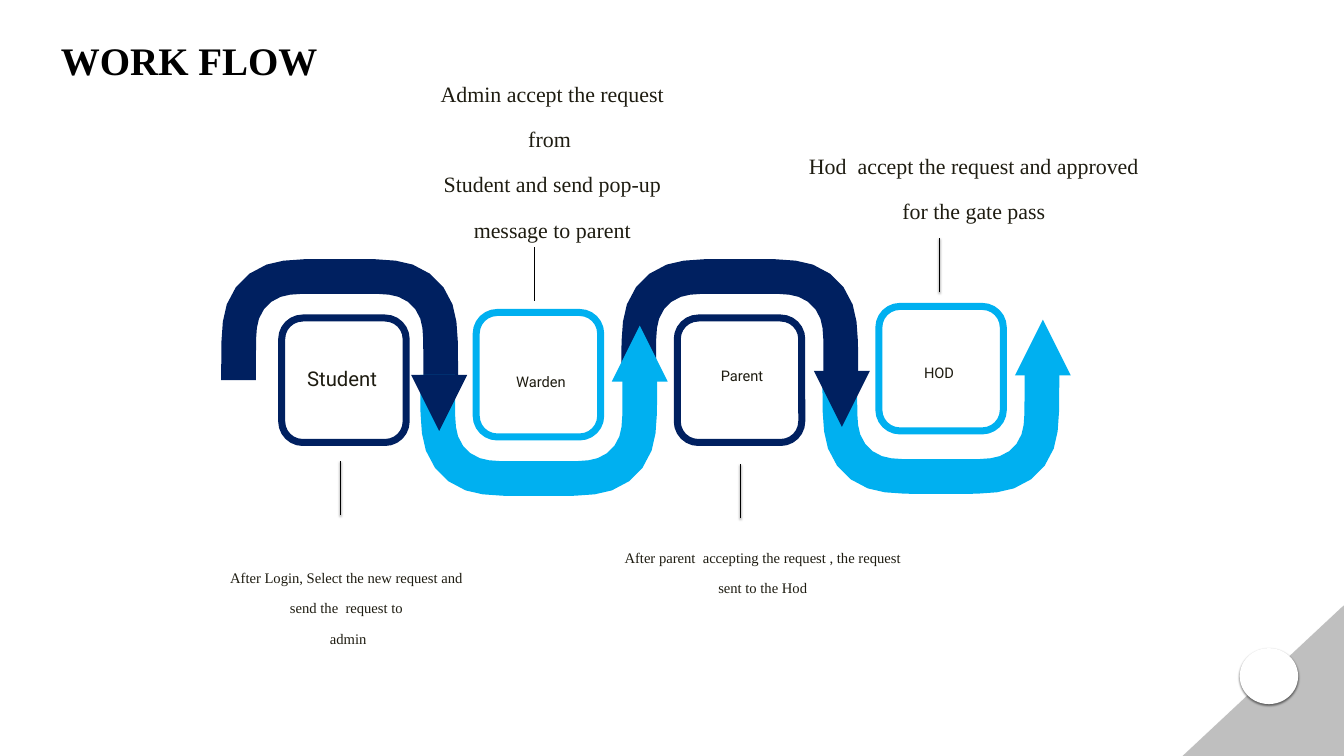
import dataclasses

import pptx
import pptx.dml.color
import pptx.enum.shapes
import pptx.enum.text
import pptx.oxml
import pptx.oxml.ns
import pptx.util
from pptx.util import Inches

RGBColor = pptx.dml.color.RGBColor
NAVY = RGBColor(0x00, 0x20, 0x60)
CYAN = RGBColor(0x00, 0xB0, 0xF0)
INK = RGBColor(0x1E, 0x1C, 0x11)
BLACK = RGBColor(0x00, 0x00, 0x00)
GREY = RGBColor(0xBF, 0xBF, 0xBF)
WHITE = RGBColor(0xFF, 0xFF, 0xFF)

SERIF = "Times New Roman"
SANS = "Roboto"
BEND_WIDTH, BEND_HEIGHT = 4.7, 2.4
HEAD_SIZE = 1.11
CARD_SIZE = 2.47
LEADER_LENGTH = 1.07

# Left half of a bend: cubic curves from the top centre, and back along the inside
OUTER_START = (2.17, 0)
OUTER_CURVES = [
    [(1.55, 0), (1.23, 0), (0.9, 0.11)],
    [(0.53, 0.24), (0.24, 0.53), (0.11, 0.9)],
    [(0, 1.24), (0, 1.55), (0, 2.18)],
]
INNER_START = (0.69, 1.87)
INNER_CURVES = [
    [(0.69, 1.54), (0.69, 1.36), (0.75, 1.18)],
    [(0.82, 0.98), (0.98, 0.82), (1.18, 0.75)],
    [(1.36, 0.69), (1.53, 0.69), (1.87, 0.69)],
]
# Corner wedge before it is turned
WEDGE = [(0, 4.2), (1.43, 0), (3.45, 4.42), (3.63, 4.93)]


@dataclasses.dataclass
class Step:
    """One step; every place but the bend's own is relative to the bend."""
    name: str
    bend: tuple
    color: RGBColor
    turned: bool
    card: tuple
    head: tuple
    label: tuple
    label_size: int
    label_spacing: float
    leader: tuple
    leader_width: float
    note: tuple
    note_size: int
    note_lines: list
    note_bottom: float = 0.06


STEPS = [
    Step("Student", (4.39, 5.14), NAVY, False, (1.2, 1.17), (3.77, 2.3),
         (1.03, 2.26, 2.74, 0.52), 50, 0.7, (2.37, 4.01), 2,
         (0, 5.78, 5.04, 2.54), 36,
         ["After Login, Select the new request and  send the  request to ", "admin"]),
    Step("Warden", (8.34, 7.44), CYAN, True, (1.11, -1.24), (3.8, -0.98),
         (1.11, -0.04, 2.57, 0.56), 36, 0.7, (2.27, -2.54), 0.75,
         (0.32, -5.2, 4.6, 3.07), 54,
         ["Admin accept the request from ", "Student and send pop-up message to parent"], 0.83),
    Step("Parent", (12.33, 5.14), NAVY, False, (1.11, 1.17), (3.82, 2.22),
         (1.11, 2.15, 2.57, 0.56), 36, 0.7, (2.37, 4.07), 2,
         (-0.19, 5.38, 5.99, 1.93), 36,
         ["After parent  accepting the request , the request sent to the Hod"]),
    Step("HOD", (16.32, 7.4), CYAN, True, (1.12, -1.32), (3.82, -1.06),
         (1.03, -0.33, 2.57, 0.72), 36, 1.0, (2.32, -2.67), 2,
         (-0.62, -4.14, 7.25, 1.32), 54,
         ["Hod  accept the request and approved for the gate pass"]),
]


def set_effects(shape, opacity=0, blur=0, distance=0):
    """Give a shape a downward shadow, or none when opacity is 0."""
    namespace = pptx.oxml.ns.nsdecls("a")
    shadow = ""
    if opacity:
        shadow = (f'<a:outerShdw blurRad="{pptx.util.Pt(blur)}" dist="{pptx.util.Pt(distance)}" '
                  f'dir="5400000" rotWithShape="0"><a:srgbClr val="000000">'
                  f'<a:alpha val="{opacity * 1000}"/></a:srgbClr></a:outerShdw>')
    properties = shape._element.spPr
    for old in properties.findall(pptx.oxml.ns.qn("a:effectLst")):
        properties.remove(old)
    properties.append(pptx.oxml.parse_xml(f"<a:effectLst {namespace}>{shadow}</a:effectLst>"))


def format_text(shape, lines, font=SERIF, size=36, color=INK, bold=False, raised=42.5,
                spacing=1.0, align=pptx.enum.text.PP_ALIGN.CENTER, bottom=0.06):
    frame = shape.text_frame
    frame.word_wrap = True
    frame.auto_size = pptx.enum.text.MSO_AUTO_SIZE.SHAPE_TO_FIT_TEXT
    frame.vertical_anchor = pptx.enum.text.MSO_ANCHOR.MIDDLE
    frame.margin_left = frame.margin_right = frame.margin_top = Inches(0.06)
    frame.margin_bottom = Inches(bottom)
    for index, line in enumerate(lines):
        paragraph = frame.add_paragraph() if index else frame.paragraphs[0]
        paragraph.alignment = align
        paragraph.line_spacing = spacing
        run = paragraph.add_run()
        run.text = line
        run.font.name = font
        run.font.size = pptx.util.Pt(size)
        run.font.bold = bold
        run.font.color.rgb = color
        run.font._element.set("baseline", str(int(raised * 1000)))


def add_text(slide, box, lines, **text_format):
    shape = slide.shapes.add_textbox(*map(Inches, box))
    format_text(shape, lines, **text_format)


def add_outline(slide, left, top, points, color, rotation=0):
    corners = [(Inches(left + x), Inches(top + y)) for x, y in points]
    builder = slide.shapes.build_freeform(*corners[0])
    builder.add_line_segments(corners[1:], close=True)
    shape = builder.convert_to_shape()
    shape.shadow.inherit = False
    shape.fill.solid()
    shape.fill.fore_color.rgb = color
    shape.line.fill.background()
    shape.rotation = rotation
    return shape


def curve_points(start, curves, pieces=3):
    points = [start]
    for first, second, end in curves:
        origin = points[-1]
        for piece in range(1, pieces + 1):
            t = piece / pieces
            points.append(tuple(
                a * (1 - t) ** 3 + 3 * b * t * (1 - t) ** 2 + 3 * c * t ** 2 * (1 - t) + d * t ** 3
                for a, b, c, d in zip(origin, first, second, end)))
    return points


def add_bend(slide, left, top, color, turned):
    half = (curve_points(OUTER_START, OUTER_CURVES) + [(0, BEND_HEIGHT), (0.69, BEND_HEIGHT)]
            + curve_points(INNER_START, INNER_CURVES))
    mirrored = [(BEND_WIDTH - x, y) for x, y in reversed(half)]
    add_outline(slide, left, top, half + mirrored, color, 180 if turned else 0)


def add_head(slide, left, top, color, turned):
    corners = [(HEAD_SIZE / 2, 0), (HEAD_SIZE, HEAD_SIZE), (0, HEAD_SIZE)]
    add_outline(slide, left, top, corners, color, 180 if turned else 0)


def add_card(slide, left, top, color):
    card = slide.shapes.add_shape(pptx.enum.shapes.MSO_SHAPE.ROUNDED_RECTANGLE,
                                  *map(Inches, (left, top, CARD_SIZE, CARD_SIZE)))
    card.adjustments[0] = 0.169
    card.shadow.inherit = False
    card.fill.background()
    card.line.color.rgb = color
    card.line.width = pptx.util.Pt(10)


def add_leader(slide, left, top, width):
    leader = slide.shapes.add_connector(
        pptx.enum.shapes.MSO_CONNECTOR.STRAIGHT,
        *map(Inches, (left, top + LEADER_LENGTH, left, top)))
    leader.line.color.rgb = BLACK
    leader.line.width = pptx.util.Pt(width)
    set_effects(leader, opacity=38 if width > 1 else 0, blur=3.1, distance=1.6)


def add_step(slide, step):
    left, top = step.bend

    def place(x, y, *size):
        return (left + x, top + y, *size)

    add_card(slide, *place(*step.card), step.color)
    # The head of a bend points the opposite way to its arch
    add_head(slide, *place(*step.head), step.color, not step.turned)
    add_text(slide, place(*step.label), [step.name], font=SANS, size=step.label_size,
             raised=24, spacing=step.label_spacing)
    add_leader(slide, *place(*step.leader), step.leader_width)
    add_text(slide, place(*step.note), step.note_lines, size=step.note_size,
             bottom=step.note_bottom)


def add_title(slide, left, top, width, height):
    title = slide.shapes.title
    title.left, title.top, title.width, title.height = map(Inches, (left, top, width, height))
    format_text(title, ["WORK FLOW"], size=96, color=BLACK, bold=True, spacing=0.7,
                align=pptx.enum.text.PP_ALIGN.LEFT)


def add_corner(slide, left, top):
    wedge = add_outline(slide, left, top, WEDGE, GREY, rotation=251.5)
    disc = slide.shapes.add_shape(pptx.enum.shapes.MSO_SHAPE.FLOWCHART_CONNECTOR,
                                  *map(Inches, (left + 1.12, top + 1.11, 1.16, 1.11)))
    disc.fill.solid()
    disc.fill.fore_color.rgb = WHITE
    disc.line.fill.background()
    for shape in (wedge, disc):
        set_effects(shape, opacity=50, blur=3, distance=2)


def main():
    presentation = pptx.Presentation()
    presentation.slide_width, presentation.slide_height = Inches(26.67), Inches(15)
    slide = presentation.slides.add_slide(presentation.slide_layouts[5])
    add_title(slide, 1.15, 1.11, 13.2, 1.24)
    # Bends lie below the arrowheads that overlap them
    for step in STEPS:
        add_bend(slide, *step.bend, step.color, step.turned)
    for step in STEPS:
        add_step(slide, step)
    add_corner(slide, 23.48, 11.75)
    presentation.save("out.pptx")


if __name__ == "__main__":
    main()
